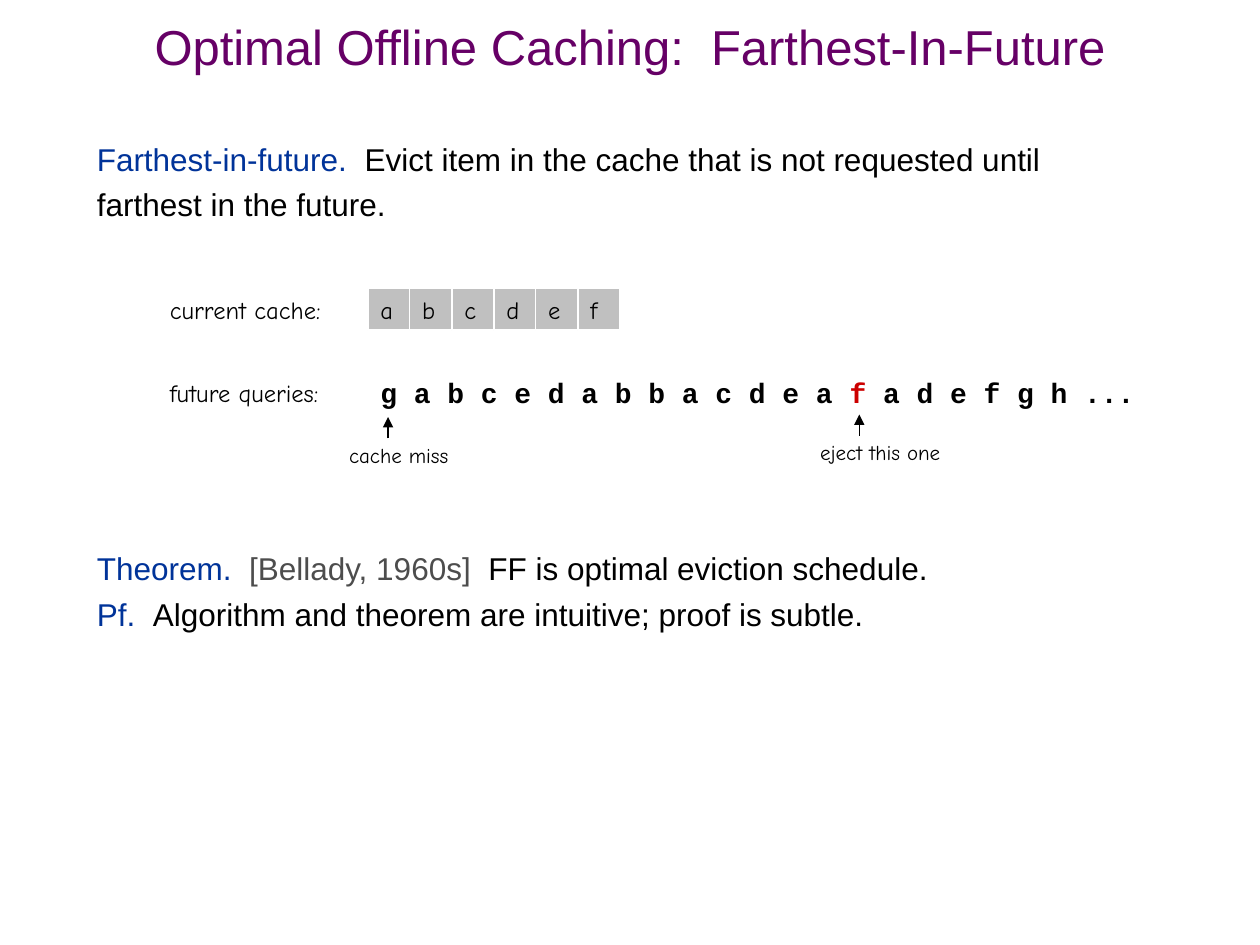
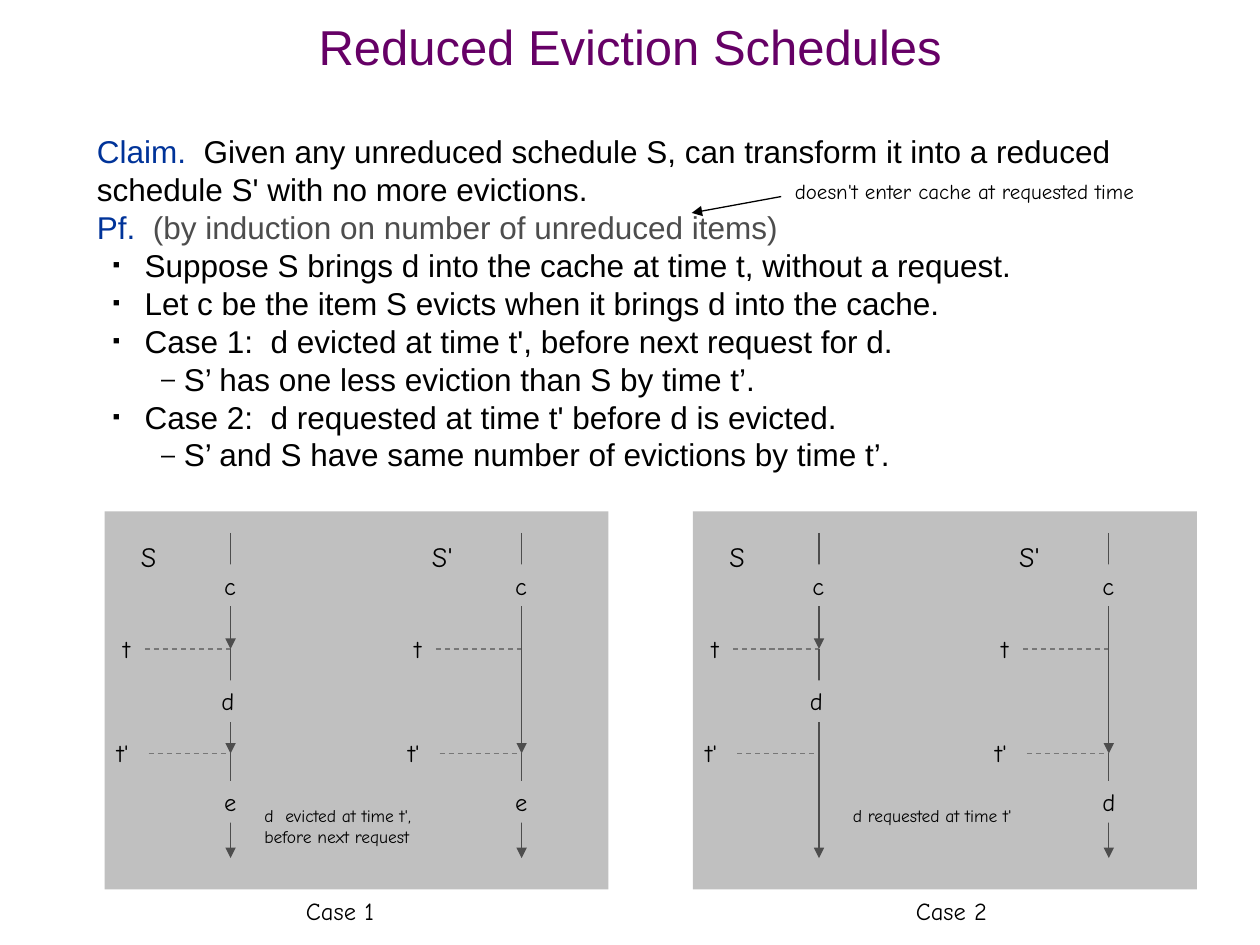
from dataclasses import dataclass
from typing import Optional

import lxml.etree
import pptx
import pptx.dml.color
import pptx.enum.dml
import pptx.enum.shapes
import pptx.enum.text
import pptx.oxml.ns
import pptx.util

Inches = pptx.util.Inches
Pt = pptx.util.Pt
qn = pptx.oxml.ns.qn
ANCHOR = pptx.enum.text.MSO_ANCHOR
ALIGN = pptx.enum.text.PP_ALIGN

COLORS = {
    "title": "660066",
    "term": "003399",
    "text": "000000",
    "aside": "4D4D4D",
    "evict": "CC0000",
    "panel": "C0C0C0",
    "border": "FFFFFF",
    "axis": "4D4D4D",
    "time": "777777",
}
BODY_FONT, NOTE_FONT, CODE_FONT = "Arial", "Comic Neue", "Courier New"
CELL = 0.33
TIME_T, TIME_T2 = 5.15, 5.98
START, END = 4.23, 6.81
BOX_TOPS = {"top": 4.48, "middle": 5.4, "bottom": 6.2}


@dataclass(frozen=True)
class Bullet:
    char: str
    left: float
    hang: float
    percent: int


@dataclass(frozen=True)
class Para:
    runs: list[tuple[str, str]]
    bullet: Optional[Bullet] = None


@dataclass(frozen=True)
class Track:
    name: str
    axis: float
    stops: list[float]
    items: dict[str, str]


@dataclass(frozen=True)
class Case:
    name: str
    left: float
    caption_dx: float
    note: str
    note_size: tuple[float, float]
    tracks: list[Track]


SQUARE = Bullet("■", 0.38, 0.25, 35)
DASH = Bullet("–", 0.69, 0.18, 80)

REDUCED_PROOF = [
    Para([("Claim.  ", "term"),
          ("Given any unreduced schedule S, can transform it into a reduced "
           "schedule S' with no more evictions.", "text")]),
    Para([("Pf.  ", "term"), ("(by induction on number of unreduced items)", "aside")]),
    Para([("Suppose S brings d into the cache at time t, without a request.", "text")], SQUARE),
    Para([("Let c be the item S evicts when it brings d into the cache.", "text")], SQUARE),
    Para([("Case 1:  d evicted at time t', before next request for d.", "text")], SQUARE),
    Para([("S’ has one less eviction than S by time t’.", "text")], DASH),
    Para([("Case 2:  d requested at time t' before d is evicted.", "text")], SQUARE),
    Para([("S’ and S have same number of evictions by time t’.", "text")], DASH),
]

CASES = [
    Case("Case 2", 5.5, 1.67, "d requested at time t'", (1.58, 0.3), [
        Track("S", 1, [START, TIME_T, END], {"top": "c", "middle": "d"}),
        Track("S'", 3.3, [START, TIME_T2, END], {"top": "c", "bottom": "d"}),
    ]),
    Case("Case 1", 0.83, 1.5, "d  evicted at time t',\nbefore next request", (1.51, 0.49), [
        Track("S", 1, [START, TIME_T, TIME_T2, END],
              {"top": "c", "middle": "d", "bottom": "e"}),
        Track("S'", 3.31, [START, TIME_T2, END], {"top": "c", "bottom": "e"}),
    ]),
]


def rgb(name: str) -> pptx.dml.color.RGBColor:
    return pptx.dml.color.RGBColor.from_string(COLORS[name])


def add_bullet(p, bullet: Bullet) -> None:
    pPr = p._p.get_or_add_pPr()
    pPr.set("marL", str(Inches(bullet.left)))
    pPr.set("indent", str(-Inches(bullet.hang)))
    clr = lxml.etree.SubElement(pPr, qn("a:buClr"))
    lxml.etree.SubElement(clr, qn("a:srgbClr"), val=COLORS["text"])
    lxml.etree.SubElement(pPr, qn("a:buSzPct"), val=str(bullet.percent * 1000))
    lxml.etree.SubElement(pPr, qn("a:buFont"), typeface=BODY_FONT)
    lxml.etree.SubElement(pPr, qn("a:buChar"), char=bullet.char)


def write(sp, paras: list[Para], *, size: float, font: str = NOTE_FONT, bold: bool = False,
          align=ALIGN.LEFT, anchor=ANCHOR.TOP, spacing=None, wrap: bool = False,
          grow: bool = False, inset: tuple[float, float] = (0.1, 0.05)) -> None:
    tf = sp.text_frame
    tf.word_wrap = wrap
    tf.vertical_anchor = anchor
    if grow:
        tf.auto_size = pptx.enum.text.MSO_AUTO_SIZE.SHAPE_TO_FIT_TEXT
    tf.margin_left = tf.margin_right = Inches(inset[0])
    tf.margin_top = tf.margin_bottom = Inches(inset[1])
    for i, para in enumerate(paras):
        p = tf.add_paragraph() if i else tf.paragraphs[0]
        p.alignment = align
        if spacing is not None:
            p.line_spacing = spacing
        if para.bullet:
            add_bullet(p, para.bullet)
        for text, color in para.runs:
            for j, line in enumerate(text.split("\n")):
                if j:
                    p.add_line_break()
                r = p.add_run()
                r.text = line
                r.font.name, r.font.size, r.font.bold = font, Pt(size), bold
                r.font.color.rgb = rgb(color)


def add_text(s, text: str | list[Para], x: float, y: float, w: float, h: float,
             **fmt) -> None:
    sp = s.shapes.add_textbox(Inches(x), Inches(y), Inches(w), Inches(h))
    paras = [Para([(text, "text")])] if isinstance(text, str) else text
    write(sp, paras, **fmt)


def add_box(s, x: float, y: float, w: float, h: float, text: str = "",
            border: bool = False, inset: tuple[float, float] = (0.1, 0)) -> None:
    sp = s.shapes.add_shape(pptx.enum.shapes.MSO_SHAPE.RECTANGLE,
                            Inches(x), Inches(y), Inches(w), Inches(h))
    sp.shadow.inherit = False
    sp.fill.solid()
    sp.fill.fore_color.rgb = rgb("panel")
    if border:
        sp.line.color.rgb = rgb("border")
        sp.line.width = Pt(0.75)
    else:
        sp.line.fill.background()
    if text:
        write(sp, [Para([(text, "text")])], size=14, anchor=ANCHOR.MIDDLE, inset=inset)


def add_line(s, x1: float, y1: float, x2: float, y2: float, color: str = "text",
             dashed: bool = False) -> None:
    c = s.shapes.add_connector(pptx.enum.shapes.MSO_CONNECTOR.STRAIGHT,
                               Inches(x1), Inches(y1), Inches(x2), Inches(y2))
    c.line.color.rgb = rgb(color)
    c.line.width = Pt(0.75)
    if dashed:
        c.line.dash_style = pptx.enum.dml.MSO_LINE.DASH
    else:
        lxml.etree.SubElement(c.line._get_or_add_ln(), qn("a:tailEnd"), type="triangle")
    lxml.etree.SubElement(c._element.spPr, qn("a:effectLst"))


def add_body(s, paras: list[Para], y: float, h: float, spacing: float) -> None:
    add_text(s, paras, 0.67, y, 8.58, h, size=18, font=BODY_FONT, wrap=True,
             spacing=Pt(spacing))


def new_slide(prs, title: str):
    s = prs.slides.add_slide(prs.slide_layouts[6])
    add_text(s, [Para([(title, "title")])], 0, 0.17, 10, 0.5, size=28, font=BODY_FONT,
             align=ALIGN.CENTER, anchor=ANCHOR.MIDDLE, spacing=0.7, wrap=True)
    return s


def add_track(s, track: Track, left: float) -> None:
    axis = left + track.axis
    add_text(s, track.name, axis - 0.81, START, 0.4, 0.41, size=16, grow=True)
    for label, y, label_dx, dash_dx in (("t", TIME_T, 0.95, 0.68), ("t'", TIME_T2, 1, 0.65)):
        add_text(s, label, axis - label_dx, y - 0.17, CELL, CELL, size=14,
                 anchor=ANCHOR.MIDDLE)
        add_line(s, axis - dash_dx, y, axis, y, "time", dashed=True)
    for y1, y2 in zip(track.stops, track.stops[1:]):
        add_line(s, axis, y1, axis, y2, "axis")
    for row, item in track.items.items():
        dx = 0.17 if row == "middle" else 0.15
        add_box(s, axis - dx, BOX_TOPS[row], CELL, CELL, item)


def add_case(s, case: Case) -> None:
    add_box(s, case.left, 4.06, 4, 3)
    for track in case.tracks:
        add_track(s, track, case.left)
    add_text(s, case.note, case.left + 1.17, 6.34, *case.note_size, size=10, grow=True)
    add_text(s, case.name, case.left + case.caption_dx, 7.06, 0.8, 0.37, size=14, grow=True)


def farthest_in_future(prs) -> None:
    s = new_slide(prs, "Optimal Offline Caching:  Farthest-In-Future")
    add_body(s, [Para([
        ("Farthest-in-future.  ", "term"),
        ("Evict item in the cache that is not requested until farthest in the future.", "text"),
    ])], 1, 0.85, 26)
    add_body(s, [
        Para([("Theorem.  ", "term"), ("[Bellady, 1960s]  ", "aside"),
              ("FF is optimal eviction schedule.", "text")]),
        Para([("Pf.  ", "term"),
              ("Algorithm and theorem are intuitive; proof is subtle.", "text")]),
    ], 4.25, 0.85, 26)

    for label, y in (("current cache:", 2.29), ("future queries:", 2.95)):
        add_text(s, label, 1.25, y, 1.42, CELL, size=14, anchor=ANCHOR.MIDDLE)
    for i, item in enumerate("abcdef"):
        add_box(s, 2.92 + i / 3, 2.29, CELL, CELL, item, border=True, inset=(0.1, 0.05))
    queries = Para([("g a b c e d a b b a c d e a ", "text"), ("f", "evict"),
                    (" a d e f g h ...", "text")])
    add_text(s, [queries], 2.92, 2.95, 6.58, CELL, size=16, font=CODE_FONT, bold=True,
             anchor=ANCHOR.MIDDLE)
    for note, x, y, w in (("cache miss", 3.08, 3.31, 0.81), ("eject this one", 6.82, 3.29, 1.07)):
        add_text(s, note, x - 0.31, y + 0.2, w, 0.23, size=12, grow=True, inset=(0, 0))
        add_line(s, x, y + 0.17, x, y)


def reduced_schedules(prs) -> None:
    s = new_slide(prs, "Reduced Eviction Schedules")
    add_body(s, REDUCED_PROOF, 1, 3.06, 21.65)
    for case in CASES:
        add_case(s, case)
    add_text(s, "doesn't enter cache at requested time", 6.21, 1.37, 3.17, 0.34, size=12,
             wrap=True, grow=True)
    add_line(s, 6.2, 1.56, 5.49, 1.69)


def main() -> None:
    prs = pptx.Presentation()
    prs.slide_width, prs.slide_height = Inches(10), Inches(7.5)
    farthest_in_future(prs)
    reduced_schedules(prs)
    prs.save("out.pptx")


if __name__ == "__main__":
    main()
